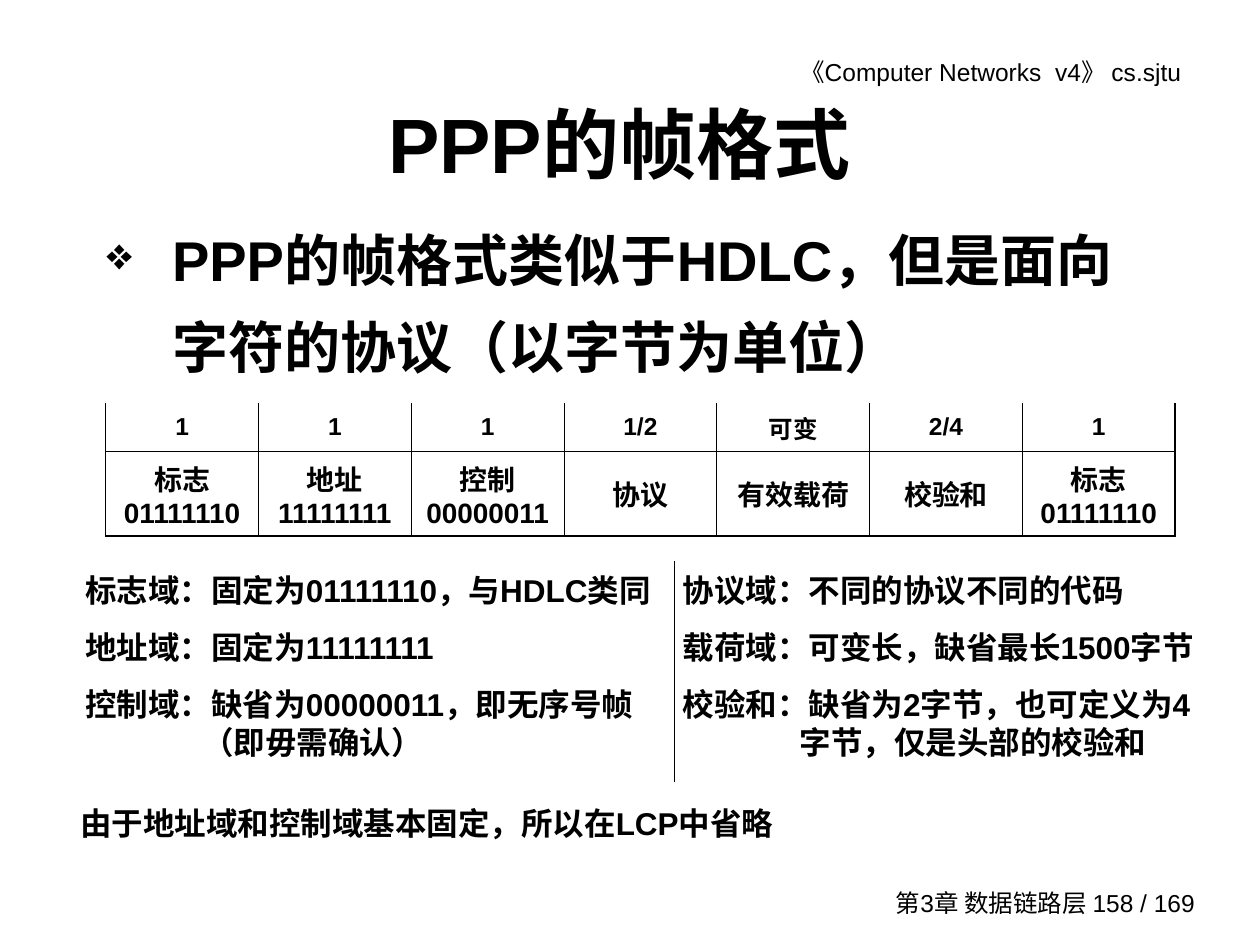
from lxml import etree
from pptx import Presentation, util as u
from pptx.dml import color
from pptx.enum import shapes, text
from pptx.oxml import ns

Cm, Pt = u.Cm, u.Pt
LEFT, MID, RIGHT = text.PP_ALIGN.LEFT, text.PP_ALIGN.CENTER, text.PP_ALIGN.RIGHT
TOP, CENTER = text.MSO_ANCHOR.TOP, text.MSO_ANCHOR.MIDDLE


def rgb(code):
    return color.RGBColor.from_string(code)


def add(parent, tag, **attrs):
    return etree.SubElement(parent, ns.qn(tag), {k: str(v) for k, v in attrs.items()})


class Deck:
    font = "Arial"
    ink = "000000"
    thin, thick = 0.45, 1.08

    def __init__(self):
        self.show = Presentation()
        self.show.slide_width, self.show.slide_height = Cm(25.4), Cm(19.05)
        self.slide = self.show.slides.add_slide(self.show.slide_layouts[5])

    def style(self, frame, size, bold=True, align=LEFT):
        for par in frame.paragraphs:
            par.alignment = align
            for run in par.runs:
                run.font.name = self.font
                run.font.size = Pt(size)
                run.font.bold = bold
                run.font.color.rgb = rgb(self.ink)

    def title(self, words, x, y, w, h):
        shape = self.slide.shapes.title
        shape.left, shape.top, shape.width, shape.height = map(Cm, (x, y, w, h))
        frame = shape.text_frame
        frame.text = words
        frame.auto_size = text.MSO_AUTO_SIZE.NONE
        frame.vertical_anchor = CENTER
        self.style(frame, 44, align=MID)

    def label(self, words, x, y, w, h, size, bold=True, align=LEFT,
              anchor=TOP, wrap=True):
        box = self.slide.shapes.add_textbox(Cm(x), Cm(y), Cm(w), Cm(h))
        frame = box.text_frame
        frame.word_wrap = wrap
        frame.vertical_anchor = anchor
        frame.text = words
        self.style(frame, size, bold, align)
        return frame

    def hang(self, frame, indent, gap=0, bullet=None):
        """Give each paragraph a hanging indent, and a bullet if one is named."""
        for num, par in enumerate(frame.paragraphs):
            props = par._p.get_or_add_pPr()
            props.set("marL", str(Cm(indent)))
            props.set("indent", str(-Cm(indent)))
            if num:
                par.space_before = Pt(gap)
            if bullet:
                par.line_spacing = 1.3
                add(add(props, "a:buClr"), "a:srgbClr", val=self.ink)
                add(props, "a:buSzPct", val=80000)
                add(props, "a:buChar", char=bullet)

    def border(self, cell, side, width):
        line = add(cell._tc.get_or_add_tcPr(), "a:ln" + side, w=Pt(width))
        if width:
            add(add(line, "a:solidFill"), "a:srgbClr", val=self.ink)
        else:
            add(line, "a:noFill")

    def table(self, rows, x, y, wide, tall, sizes):
        last = len(rows[0]) - 1
        grid = self.slide.shapes.add_table(
            len(rows), last + 1, Cm(x), Cm(y),
            Cm(wide * (last + 1)), Cm(sum(tall))).table
        grid.first_row = grid.horz_banding = False
        for col in grid.columns:
            col.width = Cm(wide)
        for r, row in enumerate(rows):
            grid.rows[r].height = Cm(tall[r])
            for c, words in enumerate(row):
                cell = grid.cell(r, c)
                cell.text_frame.text = words
                cell.vertical_anchor = CENTER
                self.style(cell.text_frame, sizes[r], align=MID)
                self.border(cell, "L", self.thin if c else self.thick)
                self.border(cell, "R", self.thin if c < last else self.thick)
                self.border(cell, "T", self.thick if r else 0)
                self.border(cell, "B", self.thick)
                cell.fill.background()

    def rule(self, x1, y1, x2, y2):
        line = self.slide.shapes.add_connector(
            shapes.MSO_CONNECTOR.STRAIGHT, Cm(x1), Cm(y1), Cm(x2), Cm(y2))
        line.line.color.rgb = rgb(self.ink)
        line.line.width = Pt(0.5)
        add(line._element.spPr, "a:effectLst")


def main():
    deck = Deck()
    deck.label("《Computer Networks  v4》 cs.sjtu", 13.39, 1.02, 10.67, 0.86,
               14, bold=False, align=RIGHT)
    deck.label("第3章 数据链路层 158 / 169", 17.63, 17.78, 6.71, 0.84,
               14, bold=False, align=RIGHT, anchor=CENTER)
    deck.title("PPP的帧格式", 1.69, 1.7, 21.59, 2.34)

    lead = deck.label("PPP的帧格式类似于HDLC，但是面向字符的协议（以字节为单位）",
                      1.9, 4.01, 21.59, 3.84, 32)
    deck.hang(lead, 1.32, bullet="❖")

    frame = [
        ("1", "1", "1", "1/2", "可变", "2/4", "1"),
        ("标志\n01111110", "地址\n11111111", "控制\n00000011", "协议",
         "有效载荷", "校验和", "标志\n01111110"),
    ]
    deck.table(frame, 2.13, 8.13, 3.08, (0.97, 1.7), (14, 16))

    fields = [
        (1.47, 12.27, ("标志域：固定为01111110，与HDLC类同",
                       "地址域：固定为11111111",
                       "控制域：缺省为00000011，即无序号帧（即毋需确认）")),
        (13.51, 11, ("协议域：不同的协议不同的代码",
                     "载荷域：可变长，缺省最长1500字节",
                     "校验和：缺省为2字节，也可定义为4字节，仅是头部的校验和")),
    ]
    for x, wide, notes in fields:
        box = deck.label("\n".join(notes), x, 11.38, wide, 4.88, 18)
        deck.hang(box, 2.36, gap=11.2)

    deck.label("由于地址域和控制域基本固定，所以在LCP中省略",
               1.37, 16.08, 14.78, 1.02, 18, wrap=False)
    deck.rule(13.59, 15.77, 13.59, 11.3)
    deck.show.save("out.pptx")


if __name__ == "__main__":
    main()
